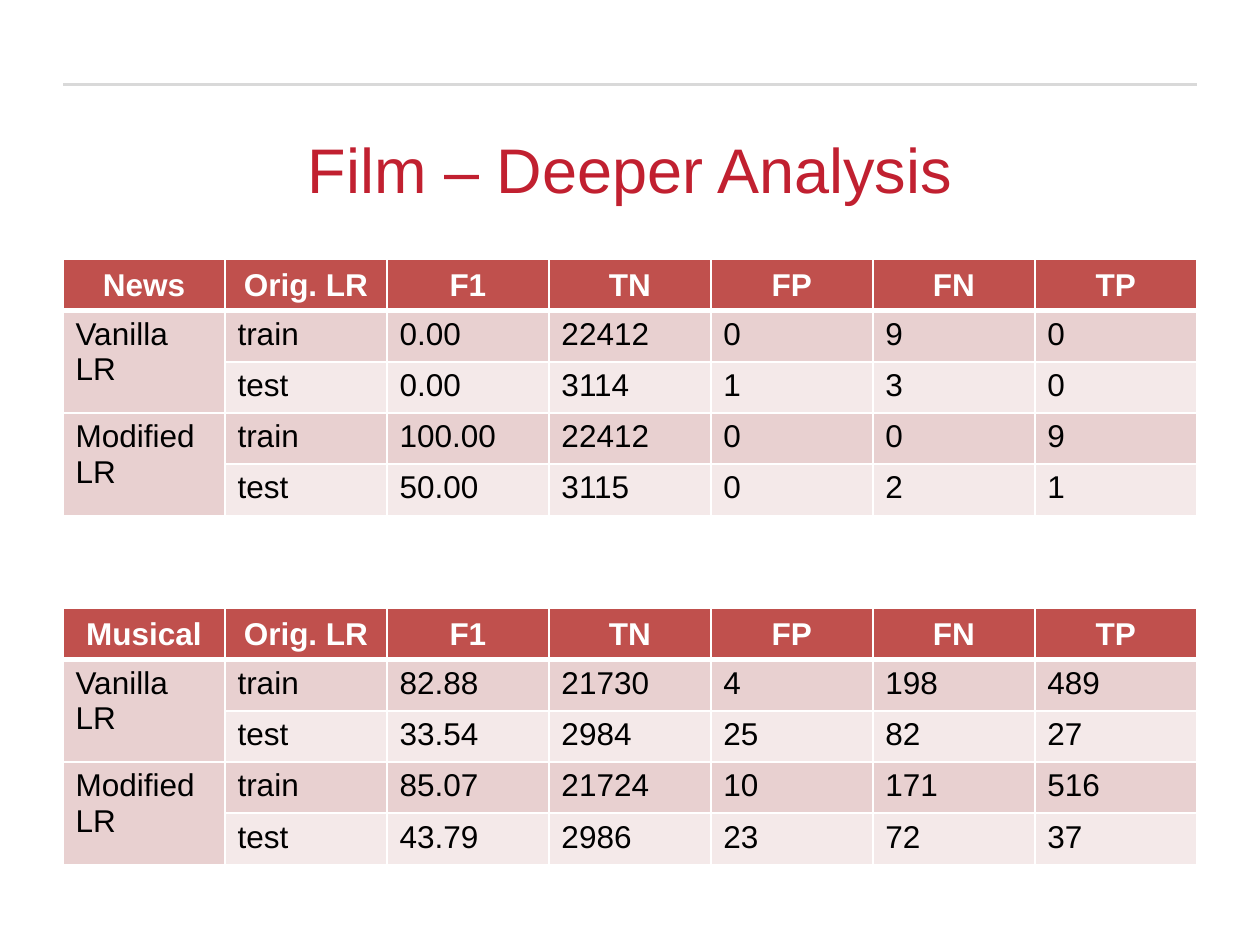
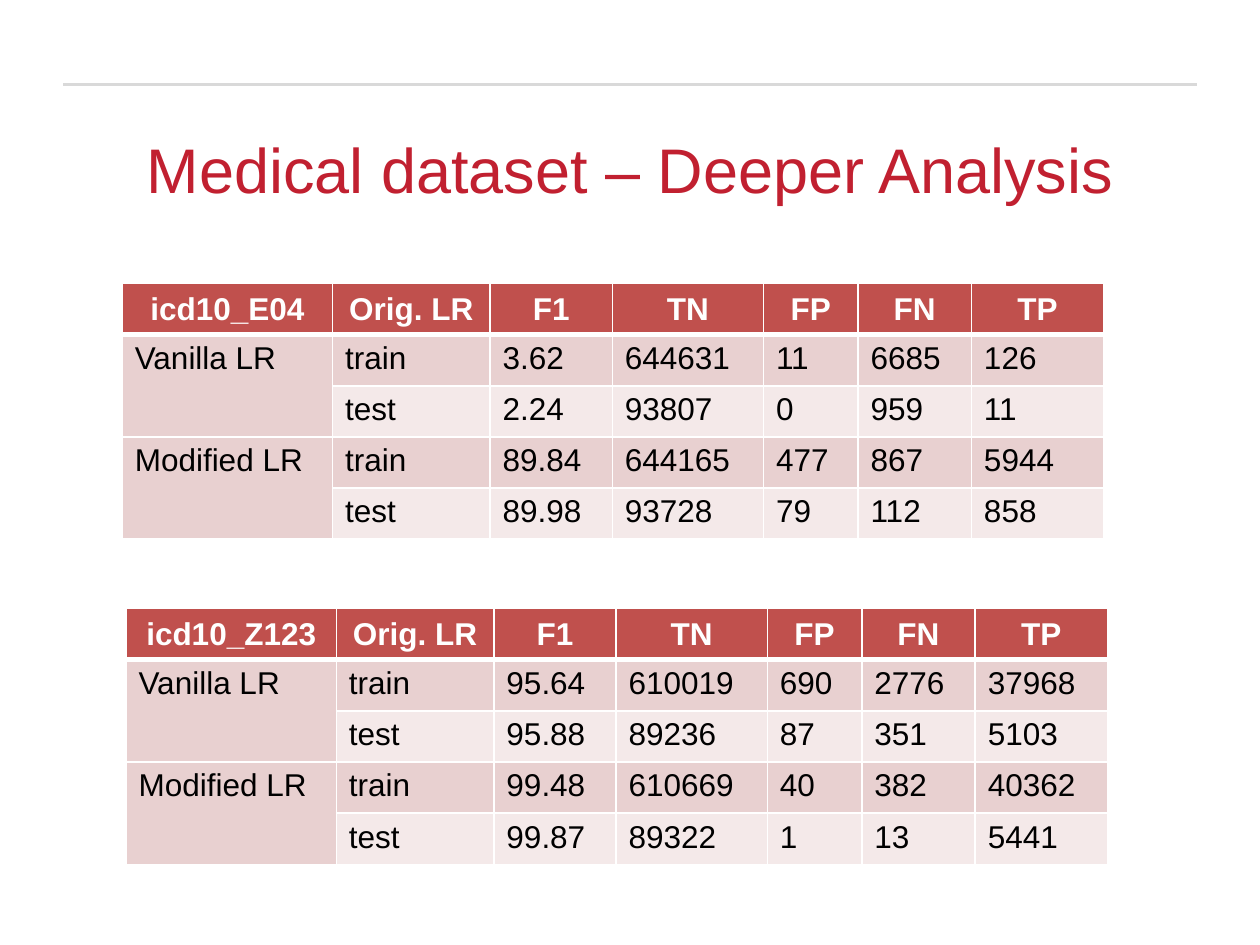
from dataclasses import dataclass

from lxml import etree
from pptx import Presentation
from pptx import util as u
from pptx.dml.color import RGBColor
from pptx.enum import shapes, text
from pptx.oxml import ns


@dataclass(frozen=True)
class Theme:
    font: str = "Arial"
    title_size: int = 36
    table_size: int = 18
    title: str = "C12030"
    rule: str = "D9D9D9"
    header: str = "C0504D"
    dark_band: str = "E8D0D0"
    light_band: str = "F4E9E9"
    white: str = "FFFFFF"
    black: str = "000000"
    rule_width: float = 2
    grid_width: float = 1
    header_line_width: float = 3


MARGIN, CONTENT_WIDTH = 0.5, 9
TABLE_HEIGHT = 2.03
LOWER_TABLE_TOP = 4.83
METRICS = ["Orig. LR", "F1", "TN", "FP", "FN", "TP"]
MODELS = ["Vanilla LR", "Modified LR"]
SPLITS = ["train", "test"]
EQUAL_COLUMNS = [CONTENT_WIDTH / 7] * 7
FITTED_COLUMNS = [1.67, 1.25, 0.97, 1.2, 0.75, 0.9, 1.05]


class DeckBuilder:
    def __init__(self, theme):
        self.theme = theme
        self.deck = Presentation()
        self.deck.slide_width = u.Inches(10)
        self.deck.slide_height = u.Inches(7.5)
        self.page = None

    def add_page(self, title):
        self.page = self.deck.slides.add_slide(self.deck.slide_layouts[5])
        self.add_rule()
        box = self.page.shapes.title
        box.left, box.top = u.Inches(MARGIN), u.Inches(0.92)
        box.width, box.height = u.Inches(CONTENT_WIDTH), u.Inches(0.83)
        box.text_frame.text = title
        box.text_frame.vertical_anchor = text.MSO_ANCHOR.MIDDLE
        para = box.text_frame.paragraphs[0]
        self.style(para, self.theme.title_size, self.theme.title, centred=True)

    def add_rule(self):
        top = u.Inches(0.67)
        rule = self.page.shapes.add_connector(
            shapes.MSO_CONNECTOR.STRAIGHT,
            u.Inches(MARGIN), top, u.Inches(MARGIN + CONTENT_WIDTH), top)
        rule.line.color.rgb = RGBColor.from_string(self.theme.rule)
        rule.line.width = u.Pt(self.theme.rule_width)
        etree.SubElement(rule._element.spPr, ns.qn("a:effectLst"))

    def style(self, para, size, color, bold=False, centred=False):
        para.alignment = text.PP_ALIGN.CENTER if centred else text.PP_ALIGN.LEFT
        for span in para.runs:
            span.font.name = self.theme.font
            span.font.size = u.Pt(size)
            span.font.bold = bold
            span.font.color.rgb = RGBColor.from_string(color)

    def add_results(self, label, left, top, widths, scores):
        """Add a table of scores, one row for each model and split."""
        rows = [[label, *METRICS]]
        for index, values in enumerate(scores):
            model, split = divmod(index, len(SPLITS))
            name = MODELS[model] if split == 0 else ""
            rows.append([name, SPLITS[split], *values.split()])

        table = self.page.shapes.add_table(
            len(rows), len(widths), u.Inches(left), u.Inches(top),
            u.Inches(sum(widths)), u.Inches(TABLE_HEIGHT)).table
        for column, width in zip(table.columns, widths):
            column.width = u.Inches(width)
        for row_index, values in enumerate(rows):
            table.rows[row_index].height = u.Inches(TABLE_HEIGHT / len(rows))
            for column_index, value in enumerate(values):
                self.fill_cell(table.cell(row_index, column_index), value, row_index)
        for first in range(1, len(rows), len(SPLITS)):
            table.cell(first, 0).merge(table.cell(first + len(SPLITS) - 1, 0))

    def fill_cell(self, cell, value, row_index):
        theme = self.theme
        is_header = row_index == 0
        band = theme.dark_band if row_index % 2 else theme.light_band
        cell.fill.solid()
        cell.fill.fore_color.rgb = RGBColor.from_string(
            theme.header if is_header else band)
        cell.vertical_anchor = (
            text.MSO_ANCHOR.MIDDLE if is_header else text.MSO_ANCHOR.TOP)
        cell.text_frame.text = value
        self.style(cell.text_frame.paragraphs[0], theme.table_size,
                   theme.white if is_header else theme.black,
                   bold=is_header, centred=is_header)
        heavy_edge = {0: "B", 1: "T"}.get(row_index)
        self.add_borders(cell, heavy_edge)

    def add_borders(self, cell, heavy_edge):
        properties = cell._tc.get_or_add_tcPr()
        for position, edge in enumerate("LRTB"):
            width = (self.theme.header_line_width if edge == heavy_edge
                     else self.theme.grid_width)
            line = etree.Element(ns.qn(f"a:ln{edge}"), w=str(u.Pt(width)))
            fill = etree.SubElement(line, ns.qn("a:solidFill"))
            etree.SubElement(fill, ns.qn("a:srgbClr"), val=self.theme.white)
            properties.insert(position, line)


def main():
    builder = DeckBuilder(Theme())

    builder.add_page("Film – Deeper Analysis")
    builder.add_results("News", MARGIN, 2.06, EQUAL_COLUMNS, [
        "0.00 22412 0 9 0",
        "0.00 3114 1 3 0",
        "100.00 22412 0 0 9",
        "50.00 3115 0 2 1",
    ])
    builder.add_results("Musical", MARGIN, LOWER_TABLE_TOP, EQUAL_COLUMNS, [
        "82.88 21730 4 198 489",
        "33.54 2984 25 82 27",
        "85.07 21724 10 171 516",
        "43.79 2986 23 72 37",
    ])

    builder.add_page("Medical dataset – Deeper Analysis")
    builder.add_results("icd10_E04", 0.97, 2.25, FITTED_COLUMNS, [
        "3.62 644631 11 6685 126",
        "2.24 93807 0 959 11",
        "89.84 644165 477 867 5944",
        "89.98 93728 79 112 858",
    ])
    builder.add_results("icd10_Z123", 1, LOWER_TABLE_TOP, FITTED_COLUMNS, [
        "95.64 610019 690 2776 37968",
        "95.88 89236 87 351 5103",
        "99.48 610669 40 382 40362",
        "99.87 89322 1 13 5441",
    ])

    builder.deck.save("out.pptx")


if __name__ == "__main__":
    main()
